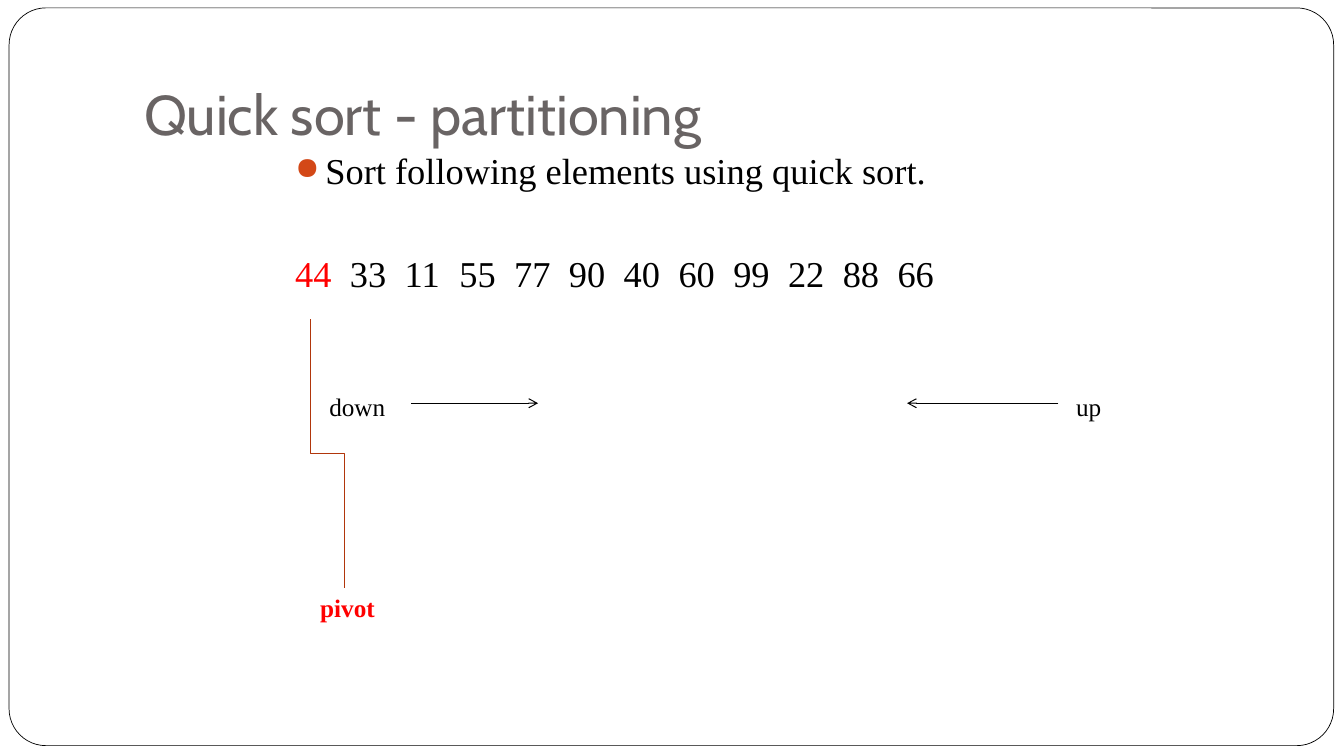
from lxml import etree
from pptx import Presentation
from pptx import util as u
from pptx.dml.color import RGBColor
from pptx.enum import shapes, text
from pptx.oxml.ns import qn

BLACK, RED = "000000", "FF0000"
SERIF = "Times New Roman"
NUMBERS = [44, 33, 11, 55, 77, 90, 40, 60, 99, 22, 88, 66]
NUMBER_PITCH = 1.38


def colour(value):
    return RGBColor.from_string(value)


def child(parent, tag, **attributes):
    return etree.SubElement(parent, qn(tag), attributes)


def add_span(para, words, **look):
    span = para.add_run()
    span.text = words
    span.font.color.rgb = colour(look.pop("color", BLACK))
    for name, value in ({"name": SERIF, "size": u.Pt(18)} | look).items():
        setattr(span.font, name, value)


def add_box(page, left, top, width, height, **frame_look):
    box = page.shapes.add_textbox(u.Cm(left), u.Cm(top), u.Cm(width), u.Cm(height))
    frame = box.text_frame
    for name, value in ({"word_wrap": True} | frame_look).items():
        setattr(frame, name, value)
    return frame


def add_line(page, kind, begin, end, line_colour):
    points = [u.Cm(value) for value in (*begin, *end)]
    line = page.shapes.add_connector(kind, *points)
    line.line.width = u.Pt(0.75)
    line.line.color.rgb = colour(line_colour)
    child(line._element.spPr, "a:effectLst")
    return line


def add_arrow(page, left, right, middle):
    arrow = add_line(page, shapes.MSO_CONNECTOR.STRAIGHT, (left, middle), (right, middle), BLACK)
    outline = arrow.line._get_or_add_ln()
    child(outline, "a:tailEnd", type="arrow")


def add_label(page, words, left, top, width, **look):
    frame = add_box(page, left, top, width, 1.02,
                    auto_size=text.MSO_AUTO_SIZE.SHAPE_TO_FIT_TEXT)
    add_span(frame.paragraphs[0], words, **look)


def draw_frame(page, left, top, width, height):
    border = page.shapes.add_shape(shapes.MSO_SHAPE.ROUNDED_RECTANGLE, u.Cm(left),
                                   u.Cm(top), u.Cm(width), u.Cm(height))
    border.adjustments[0] = 0.05
    border.shadow.inherit = False
    border.fill.solid()
    border.fill.fore_color.rgb = colour("FFFFFF")
    border.line.color.rgb = colour(BLACK)
    border.line.width = u.Pt(0.5)


def draw_title(page, left, top, width, height):
    frame = add_box(page, left, top, width, height, margin_bottom=u.Cm(0.25),
                    vertical_anchor=text.MSO_ANCHOR.BOTTOM)
    add_span(frame.paragraphs[0], "Quick sort - partitioning", name="Cabin",
             size=u.Pt(40), color="696464")


def draw_task(page, left, top, width, height):
    frame = add_box(page, left, top, width, height)

    # Bulleted instruction
    task = frame.paragraphs[0]
    properties = task._p.get_or_add_pPr()
    indent = u.Cm(0.76)
    properties.set("marL", str(indent))
    properties.set("indent", str(-indent))
    child(child(properties, "a:buClr"), "a:srgbClr", val="D34817")
    child(properties, "a:buSzPct", val="85000")
    child(properties, "a:buChar", char="●")
    add_span(task, "Sort following elements using quick sort.", size=u.Pt(26))

    # Evenly spaced numbers, pivot first
    row = frame.add_paragraph()
    tabs = child(row._p.get_or_add_pPr(), "a:tabLst")
    for step in range(1, len(NUMBERS)):
        child(tabs, "a:tab", pos=str(u.Cm(step * NUMBER_PITCH)), algn="l")
    row.space_before = u.Pt(42)
    pivot, *others = NUMBERS
    add_span(row, str(pivot), size=u.Pt(26), color=RED)
    add_span(row, "".join(f"\t{number}" for number in others), size=u.Pt(26))


def draw_pointers(page, left, top, width):
    right = left + width
    middle = top + 0.43
    add_label(page, "down", left, top, 2.54)
    add_arrow(page, left + 2.31, left + 5.51, middle)
    add_label(page, "up", right - 1.47, top, 1.47)
    add_arrow(page, right - 1.67, right - 5.48, middle)


def draw_pivot(page, left, top, width, height):
    # An elbow turned a quarter so that it leaves and arrives vertically
    centre, middle = left + width / 2, top + height / 2
    elbow = add_line(page, shapes.MSO_CONNECTOR.ELBOW,
                     (centre + height / 2, middle - width / 2),
                     (centre - height / 2, middle + width / 2), "B1360B")
    elbow._element.spPr.find(qn("a:xfrm")).set("rot", str(270 * 60000))
    add_label(page, "pivot", left, top + height, 2.54, color=RED, bold=True)


def main():
    deck = Presentation()
    deck.slide_width, deck.slide_height = u.Cm(33.87), u.Cm(19.05)
    page = deck.slides.add_slide(deck.slide_layouts[6])
    draw_frame(page, 0.23, 0.2, 33.38, 18.59)
    draw_title(page, 3.38, 0.76, 28.78, 3.18)
    draw_task(page, 7.19, 3.61, 21.84, 6.15)
    draw_pointers(page, 8.05, 9.73, 20.29)
    draw_pivot(page, 7.82, 8.05, 0.87, 6.76)
    deck.save("out.pptx")


if __name__ == "__main__":
    main()
